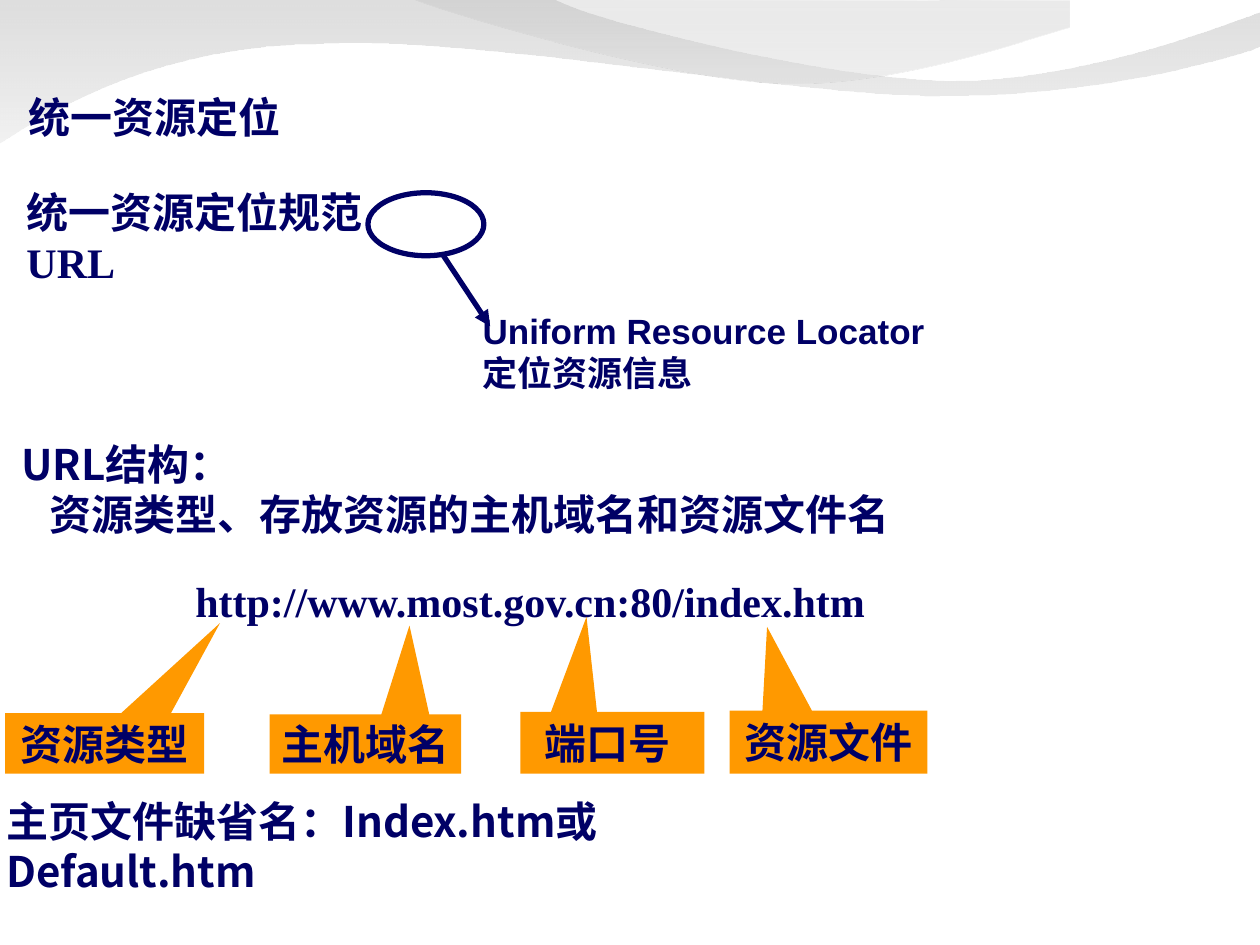
"""Build a slide that explains the structure of a uniform resource locator."""
from lxml import etree
from pptx import Presentation
from pptx.dml.color import RGBColor
from pptx.enum.shapes import MSO_CONNECTOR, MSO_SHAPE
from pptx.enum.text import MSO_ANCHOR, PP_ALIGN
from pptx.oxml.ns import qn
from pptx.util import Inches, Pt

LEFT, CENTER, JUSTIFY = PP_ALIGN.LEFT, PP_ALIGN.CENTER, PP_ALIGN.JUSTIFY
TOP, MIDDLE = MSO_ANCHOR.TOP, MSO_ANCHOR.MIDDLE
OVAL, CALLOUT = MSO_SHAPE.OVAL, MSO_SHAPE.RECTANGULAR_CALLOUT
STRAIGHT = MSO_CONNECTOR.STRAIGHT

COLORS = {"navy": "000066", "orange": "FF9900"}
SANS, SERIF, ARIAL = "Noto Sans CJK SC", "Times New Roman", "Arial"

# Wave segments: one point is a line end, three points are a cubic curve.
WAVES = [
    {
        "start": (-0.01, 0),
        "segments": [
            [(4.4, 0)],
            [(4.75, 0.18), (6.63, 0.64), (7.58, 0.64)],
            [(8.52, 0.64), (9.57, 0.26), (9.99, 0.1)],
            [(10, 0.37)],
            [(9.82, 0.45), (8.69, 0.77), (7.45, 0.76)],
            [(6.21, 0.76), (3.82, 0.29), (2.57, 0.35)],
            [(1.29, 0.36), (0.46, 0.84), (-0.01, 1.14)],
        ],
        "stops": [(0, "B7B7B7", 45), (100, "E7E7E7", 55)],
    },
    {
        "start": (3.29, 0),
        "segments": [
            [(3.59, 0.12), (5.31, 0.63), (6.18, 0.66)],
            [(7.04, 0.7), (8.1, 0.33), (8.49, 0.22)],
            [(8.49, 0.01)],
        ],
        "stops": [(0, "BDBDBD", 30), (80, "DBDBDB", 45)],
    },
]

TITLE = {"text": "统一资源定位", "at": (0.13, 0.3, 8.5, 1.25)}
TEXTS = [
    {"at": (0.12, 1.44, 3.6, 0.49), "lines": ["统一资源定位规范  URL"], "font": SERIF},
    {"at": (0.08, 3.44, 7.46, 0.9), "font": SANS, "indents": (0, 0.22),
     "lines": ["URL结构：", "资源类型、存放资源的主机域名和资源文件名"]},
    {"at": (1.46, 4.53, 6.19, 0.48), "font": SERIF, "align": JUSTIFY,
     "lines": ["http://www.most.gov.cn:80/index.htm"]},
    {"at": (-0.04, 6.27, 6.69, 0.49), "font": SANS,
     "lines": ["主页文件缺省名：Index.htm或Default.htm"]},
    {"at": (3.74, 2.42, 3.74, 0.76), "font": ARIAL, "size": 20,
     "lines": ["Uniform Resource Locator", "定位资源信息"]},
]
CALLOUTS = [
    ("资源类型", (0.04, 5.66, 1.58, 0.48), (0.58, -1.99)),
    ("主机域名 ", (2.14, 5.67, 1.52, 0.47), (0.23, -2.0)),
    ("端口号 ", (4.13, 5.65, 1.46, 0.49), (-0.14, -2.04)),
    ("资源文件", (5.79, 5.64, 1.57, 0.5), (-0.31, -1.83)),
]
RING = (2.92, 1.53, 0.92, 0.5)
ARROW = (3.52, 2.03, 3.89, 2.59)


def color(name):
    return RGBColor.from_string(COLORS[name])


def inches(values):
    return [Inches(value) for value in values]


def set_all(target, values):
    for name, value in values.items():
        setattr(target, name, value)


def write(shape, lines, font, size=24, align=LEFT, anchor=TOP, indents=(0, 0), inset=(0.09, 0.04)):
    frame = shape.text_frame
    side, edge = inches(inset)
    set_all(frame, {"word_wrap": True, "vertical_anchor": anchor, "margin_left": side,
                    "margin_right": side, "margin_top": edge, "margin_bottom": edge})
    frame.text = "\n".join(lines)
    for para, indent in zip(frame.paragraphs, indents):
        para.alignment = align
        if indent:
            para._p.get_or_add_pPr().set("marL", str(Inches(indent)))
        for span in para.runs:
            set_all(span.font, {"name": font, "size": Pt(size), "bold": True})
            span.font.color.rgb = color("navy")
            east = etree.SubElement(span._r.get_or_add_rPr(), qn("a:ea"))
            east.set("typeface", SANS)


def bend(wave, segments):
    """Turn each run of three line ends into one cubic curve."""
    ends = iter(list(wave._element.iter(qn("a:lnTo"))))
    for segment in segments:
        steps = [next(ends) for _ in segment]
        if len(steps) == 3:
            first = steps[0]
            first.addprevious(curve := etree.Element(qn("a:cubicBezTo")))
            for step in steps:
                curve.append(step[0])
                step.getparent().remove(step)


def add_wave(slide, start, segments, stops):
    builder = slide.shapes.build_freeform(*inches(start), scale=1.0)
    corners = [inches(point) for segment in segments for point in segment]
    builder.add_line_segments(corners, close=True)
    wave = builder.convert_to_shape()
    bend(wave, segments)
    wave.shadow.inherit = False
    wave.line.fill.background()
    wave.fill.gradient()
    gradient = wave._element.spPr.find(qn("a:gradFill"))
    for child in list(gradient):
        gradient.remove(child)
    stop_list = etree.SubElement(gradient, qn("a:gsLst"))
    for position, shade, opacity in stops:
        stop = etree.SubElement(stop_list, qn("a:gs"), pos=str(position * 1000))
        tint = etree.SubElement(stop, qn("a:srgbClr"), val=shade)
        etree.SubElement(tint, qn("a:alpha"), val=str(opacity * 1000))
    etree.SubElement(gradient, qn("a:lin"), ang="5400000", scaled="0")


def add_pointer(slide):
    ring = slide.shapes.add_shape(OVAL, *inches(RING))
    ring.shadow.inherit = False
    ring.fill.background()
    arrow = slide.shapes.add_connector(STRAIGHT, *inches(ARROW))
    for shape in (ring, arrow):
        shape.line.color.rgb = color("navy")
        shape.line.width = Pt(3)
    etree.SubElement(arrow.line._get_or_add_ln(), qn("a:tailEnd"), type="triangle")
    etree.SubElement(arrow._element.spPr, qn("a:effectLst"))


def add_callout(slide, label, at, tip):
    callout = slide.shapes.add_shape(CALLOUT, *inches(at))
    callout.shadow.inherit = False
    callout.fill.solid()
    callout.fill.fore_color.rgb = color("orange")
    callout.line.fill.background()
    for index, value in enumerate(tip):
        callout.adjustments[index] = value
    write(callout, [label], SERIF, align=CENTER, anchor=MIDDLE)


def main():
    deck = Presentation()
    set_all(deck, {"slide_width": Inches(10), "slide_height": Inches(7.5)})
    slide = deck.slides.add_slide(deck.slide_layouts[5])
    for wave in WAVES:
        add_wave(slide, **wave)
    title = slide.shapes.title
    set_all(title, dict(zip(("left", "top", "width", "height"), inches(TITLE["at"]))))
    write(title, [TITLE["text"]], SANS, anchor=MIDDLE, inset=(0.1, 0.05))
    slide.shapes._spTree.append(title._element)
    add_pointer(slide)
    for entry in TEXTS:
        style = {key: value for key, value in entry.items() if key != "at"}
        write(slide.shapes.add_textbox(*inches(entry["at"])), **style)
    for callout in CALLOUTS:
        add_callout(slide, *callout)
    deck.save("out.pptx")


if __name__ == "__main__":
    main()
